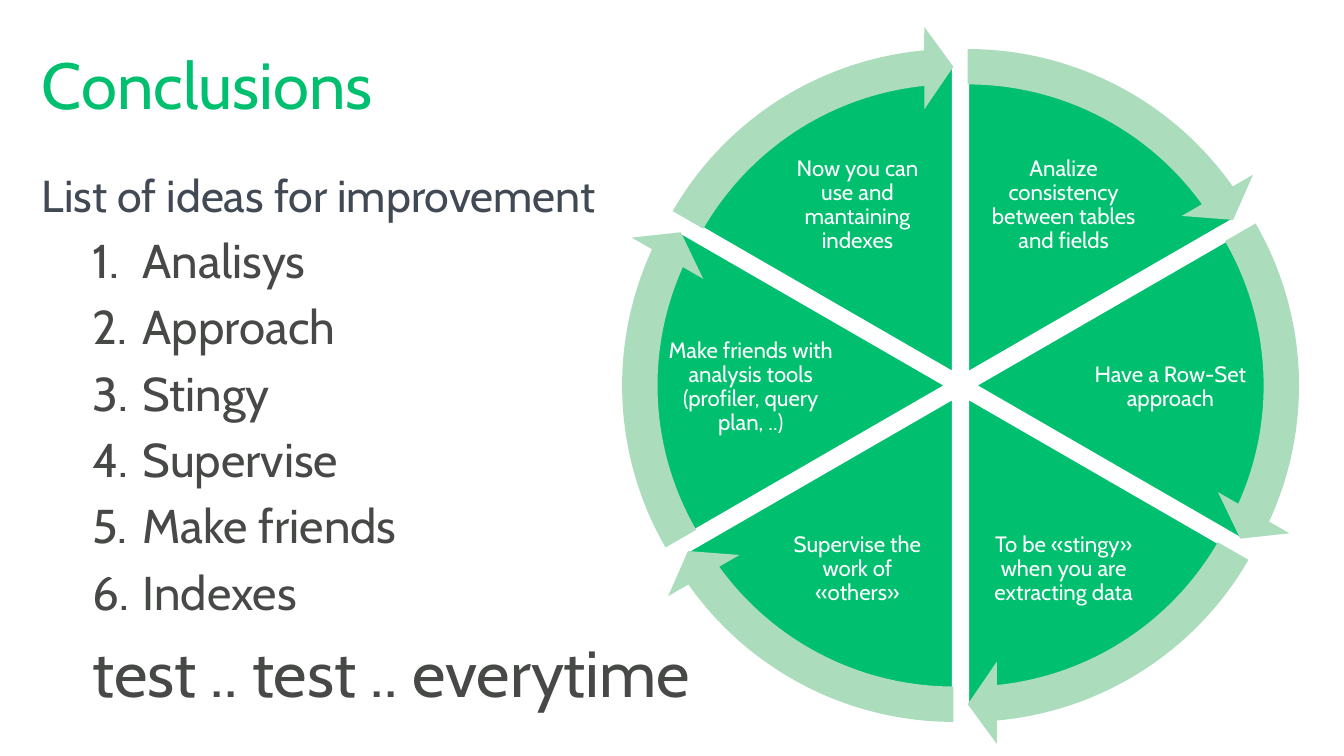
from dataclasses import dataclass
from math import cos, radians, sin, tan

from lxml.etree import SubElement
from pptx import Presentation
from pptx.dml.color import RGBColor as Rgb
from pptx.enum.shapes import MSO_SHAPE as Preset
from pptx.enum.text import MSO_ANCHOR as Anchor, PP_ALIGN as Align
from pptx.oxml.ns import qn
from pptx.shapes.autoshape import Shape
from pptx.shapes.shapetree import SlideShapes
from pptx.text.text import TextFrame, _Paragraph as Paragraph
from pptx.util import Pt

Point = tuple[float, float]


@dataclass(frozen=True)
class Theme:
    font: str = "Cabin"
    green: Rgb = Rgb(0x00, 0xBF, 0x6F)
    pale_green: Rgb = Rgb(0xAB, 0xDC, 0xBB)
    slate: Rgb = Rgb(0x41, 0x4A, 0x54)
    grey: Rgb = Rgb(0x47, 0x49, 0x47)
    white: Rgb = Rgb(0xFF, 0xFF, 0xFF)
    title_size: float = 44
    lead_size: float = 30.2
    item_size: float = 32
    wedge_size: float = 15


@dataclass(frozen=True)
class Box:
    left: float
    top: float
    width: float
    height: float


@dataclass(frozen=True)
class Wedge:
    """One sixth of the wheel; label is placed relative to the wedge's tip."""
    text: str
    label: Box


@dataclass(frozen=True)
class Line:
    text: str
    size: float
    color: Rgb
    space_before: float = 0
    margin: float = 0
    numbered: bool = False


THEME = Theme()
MARGIN = 28.35
TEXT_WIDTH = 850.5
INDENT = 34
SPACING = 0.2

HUB_X, HUB_Y = 648.4, 260.3
TIP_OFFSET = 9.65
RADIUS = 208.8
ARROW_SIZE = 469.4
ARROW_THICKNESS = 5.09 / 100
HEAD_WIDTH = 5.93 / 100
SECTOR = 60
HEAD_ANGLE = 5.46
ADJUST_PER_DEGREE = 0.6

WEDGES = [
    Wedge("Analize consistency between tables and fields", Box(11.5, -154, 106.5, 81)),
    Wedge("Have a Row-Set approach", Box(76, -38, 112, 79)),
    Wedge("To be «stingy» when you are extracting data", Box(11.5, 75, 106.5, 81)),
    Wedge("Supervise the work of «others»", Box(-118, 75, 106.5, 81)),
    Wedge("Make friends with analysis tools (profiler, query plan, ..)",
          Box(-188, -38, 112, 79)),
    Wedge("Now you can use and mantaining indexes", Box(-118, -154, 106.5, 81)),
]
IDEAS = ["Analisys", "Approach", "Stingy", "Supervise", "Make friends", "Indexes"]
BODY = [
    Line("List of ideas for improvement", THEME.lead_size, THEME.slate),
    *(Line(idea, THEME.item_size, THEME.grey, SPACING * THEME.item_size,
           2 * INDENT, True) for idea in IDEAS),
    Line("test .. test .. everytime", THEME.title_size, THEME.grey,
         SPACING * THEME.title_size, INDENT),
]


def style(paragraph: Paragraph, size: float, color: Rgb) -> None:
    for run in paragraph.runs:
        run.font.name = THEME.font
        run.font.size = Pt(size)
        run.font.color.rgb = color


def add_text_box(shapes: SlideShapes, box: Box, anchor: Anchor) -> TextFrame:
    frame = shapes.add_textbox(
        Pt(box.left), Pt(box.top), Pt(box.width), Pt(box.height)).text_frame
    frame.word_wrap = True
    frame.vertical_anchor = anchor
    frame.margin_left = frame.margin_top = frame.margin_right = frame.margin_bottom = 0
    return frame


def add_line(paragraph: Paragraph, line: Line) -> None:
    paragraph.text = line.text
    properties = paragraph._p.get_or_add_pPr()
    properties.set("marL", str(Pt(line.margin)))
    properties.set("indent", str(Pt(-INDENT if line.numbered else 0)))
    if line.numbered:
        SubElement(properties, qn("a:buAutoNum"), type="arabicPeriod")
    paragraph.space_before = Pt(line.space_before)
    style(paragraph, line.size, line.color)


def polar(x: float, y: float, radius: float, degrees: float) -> Point:
    return x + radius * cos(radians(degrees)), y + radius * sin(radians(degrees))


def wedge_tip(start: float) -> Point:
    return polar(HUB_X, HUB_Y, TIP_OFFSET, start + SECTOR / 2)


def curve_outline(shape: Shape, start: float) -> None:
    """Give the outline a curved rim inside the frame of the whole circle."""
    end = start + SECTOR
    handle = RADIUS * 4 / 3 * tan(radians(SECTOR / 4))
    rim_start = polar(RADIUS, RADIUS, RADIUS, start)
    rim_end = polar(RADIUS, RADIUS, RADIUS, end)
    steps: list[tuple[str, list[Point]]] = [
        ("a:moveTo", [rim_start]),
        ("a:cubicBezTo", [polar(*rim_start, handle, start + 90),
                          polar(*rim_end, handle, end - 90), rim_end]),
        ("a:lnTo", [(RADIUS, RADIUS)]),
        ("a:close", []),
    ]
    outline = next(shape._element.iter(qn("a:path")))
    for child in list(outline):
        outline.remove(child)
    outline.set("w", str(Pt(2 * RADIUS)))
    outline.set("h", str(Pt(2 * RADIUS)))
    for tag, points in steps:
        step = SubElement(outline, qn(tag))
        for x, y in points:
            SubElement(step, qn("a:pt"), x=str(Pt(x)), y=str(Pt(y)))


def add_wedge(shapes: SlideShapes, wedge: Wedge, start: float) -> None:
    x, y = wedge_tip(start)
    rim = [polar(x, y, RADIUS, angle) for angle in (start, start + SECTOR)]
    builder = shapes.build_freeform(Pt(x), Pt(y))
    builder.add_line_segments([(Pt(px), Pt(py)) for px, py in rim])
    shape = builder.convert_to_shape()
    shape.left, shape.top = Pt(x - RADIUS), Pt(y - RADIUS)
    shape.width = shape.height = Pt(2 * RADIUS)
    curve_outline(shape, start)
    shape.shadow.inherit = False
    shape.fill.solid()
    shape.fill.fore_color.rgb = THEME.green
    shape.line.color.rgb = THEME.white
    shape.line.width = Pt(2)

    label = wedge.label
    frame = shape.text_frame
    frame.word_wrap = True
    frame.vertical_anchor = Anchor.MIDDLE
    frame.margin_left = Pt(RADIUS + label.left)
    frame.margin_top = Pt(RADIUS + label.top)
    frame.margin_right = Pt(RADIUS - label.left - label.width)
    frame.margin_bottom = Pt(RADIUS - label.top - label.height)
    frame.text = wedge.text
    paragraph = frame.paragraphs[0]
    paragraph.alignment = Align.CENTER
    paragraph.line_spacing = 0.9
    style(paragraph, THEME.wedge_size, THEME.white)


def add_arrow(shapes: SlideShapes, start: float) -> None:
    x, y = wedge_tip(start)
    arrow = shapes.add_shape(
        Preset.CIRCULAR_ARROW, Pt(x - ARROW_SIZE / 2), Pt(y - ARROW_SIZE / 2),
        Pt(ARROW_SIZE), Pt(ARROW_SIZE))
    end = (start + SECTOR - HEAD_ANGLE) % 360
    values = (ARROW_THICKNESS, HEAD_ANGLE * ADJUST_PER_DEGREE,
              end * ADJUST_PER_DEGREE, start % 360 * ADJUST_PER_DEGREE, HEAD_WIDTH)
    for index, value in enumerate(values):
        arrow.adjustments[index] = value
    arrow.shadow.inherit = False
    arrow.fill.solid()
    arrow.fill.fore_color.rgb = THEME.pale_green
    arrow.line.fill.background()


def main() -> None:
    deck = Presentation()
    deck.slide_width, deck.slide_height = Pt(907.2), Pt(510.5)
    shapes = deck.slides.add_slide(deck.slide_layouts[6]).shapes

    title = add_text_box(shapes, Box(MARGIN, MARGIN, TEXT_WIDTH, 56.7), Anchor.MIDDLE)
    add_line(title.paragraphs[0], Line("Conclusions", THEME.title_size, THEME.green))

    body = add_text_box(shapes, Box(MARGIN, 113.4, TEXT_WIDTH, 368.5), Anchor.TOP)
    for index, line in enumerate(BODY):
        add_line(body.add_paragraph() if index else body.paragraphs[0], line)

    starts = [270 + SECTOR * index for index in range(len(WEDGES))]
    for wedge, start in zip(WEDGES, starts):
        add_wedge(shapes, wedge, start)
    for start in starts:
        add_arrow(shapes, start)

    deck.save("out.pptx")


if __name__ == "__main__":
    main()
